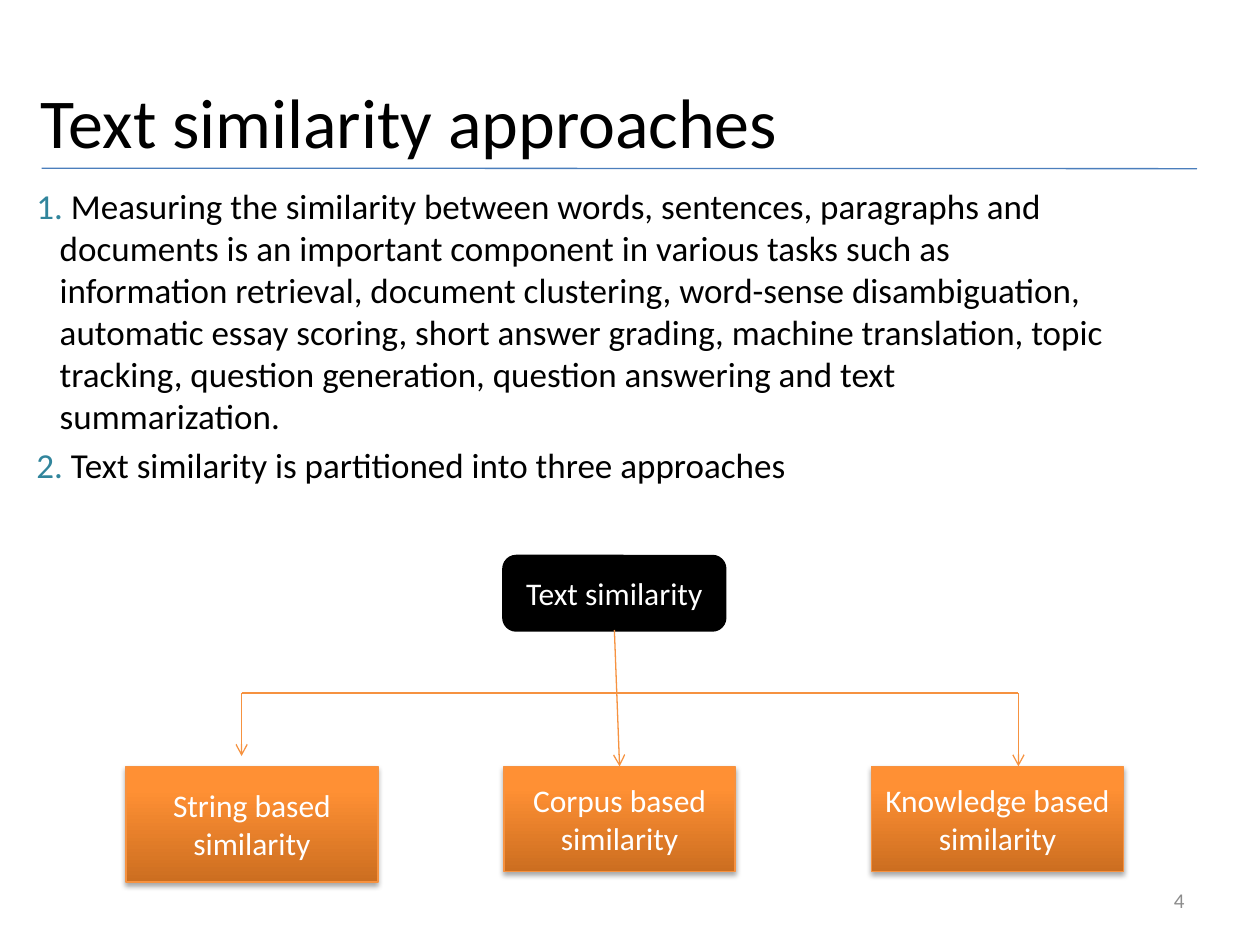
from dataclasses import dataclass

from pptx import Presentation
from pptx.dml.color import RGBColor
from pptx.enum.shapes import MSO_CONNECTOR, MSO_SHAPE
from pptx.enum.text import MSO_ANCHOR as Anchor, MSO_AUTO_SIZE as AutoSize, PP_ALIGN as Align
from pptx.oxml import parse_xml
from pptx.oxml.ns import nsdecls, qn
from pptx.oxml.xmlchemy import OxmlElement
from pptx.util import Cm, Pt

FONT = "Calibri"
BLACK, WHITE, GREY = "000000", "FFFFFF", "8C8C8C"
TEAL, BLUE, ORANGE = "31859C", "4B7EBC", "F69240"
GRADIENT = ((0, "CC6E20"), (80, "FF9034"), (100, "FF9136"))


@dataclass
class Box:
    """A rectangle in centimetres, with its text."""
    left: float
    top: float
    width: float
    height: float
    text: str = ""

    def lengths(self):
        return Cm(self.left), Cm(self.top), Cm(self.width), Cm(self.height)


@dataclass
class Line:
    """A straight line in centimetres."""
    x1: float
    y1: float
    x2: float
    y2: float
    color: str = ORANGE
    arrow: bool = True


TITLE = Box(-3.18, 0.84, 22.86, 3.18, "Text similarity approaches")
BODY = Box(0, 3.6, 22.86, 12.57)
NUMBER = Box(18.2, 17.65, 5.93, 1.01, "4")
ROOT = Box(10.16, 11.22, 4.45, 1.48, "Text similarity")
LEAF_TOP, BAR_Y, BAR_LEFT, BAR_RIGHT = 15.45, 13.97, 4.87, 20.53
LEAVES = [
    Box(2.54, LEAF_TOP, 5.08, 2.33, "String based similarity"),
    Box(10.16, LEAF_TOP, 4.66, 2.12, "Corpus based similarity"),
    Box(17.57, LEAF_TOP, 5.08, 2.12, "Knowledge based similarity"),
]
POINTS = [
    "Measuring the similarity between words, sentences, paragraphs and documents is an "
    "important component in various tasks such as information retrieval, document "
    "clustering, word-sense disambiguation, automatic essay scoring, short answer grading, "
    "machine translation, topic tracking, question generation, question answering and "
    "text summarization.",
    "Text similarity is partitioned into three approaches",
]
RULE = Line(0.84, 3.39, 24.13, 3.4, BLUE, arrow=False)
BRANCHES = [
    Line(BAR_LEFT, BAR_Y, BAR_RIGHT, BAR_Y, arrow=False),
    Line(BAR_LEFT, BAR_Y, BAR_LEFT, 15.24),
    Line(BAR_RIGHT, BAR_Y, BAR_RIGHT, LEAF_TOP),
]


def rgb(color: str) -> RGBColor:
    return RGBColor.from_string(color)


def place(sp, box: Box) -> None:
    sp.left, sp.top, sp.width, sp.height = box.lengths()


def add_run(p, text: str, size: float, color: str) -> None:
    r = p.add_run()
    r.text = text
    r.font.name, r.font.size = FONT, Pt(size)
    r.font.color.rgb = rgb(color)


def write(sp, text: str, size: float, color: str, align=Align.CENTER) -> None:
    """Put one vertically centred paragraph in a shape."""
    tf = sp.text_frame
    tf.word_wrap, tf.vertical_anchor = True, Anchor.MIDDLE
    tf.auto_size = AutoSize.NONE
    p = tf.paragraphs[0]
    p.alignment = align
    add_run(p, text, size, color)


def add_box(slide, box: Box, shape_type, color: str, line_width: float):
    sp = slide.shapes.add_shape(shape_type, *box.lengths())
    sp.shadow.inherit = False
    sp.fill.solid()
    sp.fill.fore_color.rgb = rgb(color)
    sp.line.color.rgb = rgb(color)
    sp.line.width = Pt(line_width)
    write(sp, box.text, 18, WHITE)
    return sp


def add_leaf(slide, box: Box):
    """An orange box with a vertical gradient and a soft shadow."""
    sp = add_box(slide, box, MSO_SHAPE.RECTANGLE, ORANGE, 0.75)
    sp_pr = sp._element.spPr
    stops = "".join(f'<a:gs pos="{pos * 1000}"><a:srgbClr val="{color}"/></a:gs>'
                    for pos, color in GRADIENT)
    sp_pr.replace(sp_pr.find(qn("a:solidFill")), parse_xml(
        f'<a:gradFill {nsdecls("a")} rotWithShape="1"><a:gsLst>{stops}</a:gsLst>'
        '<a:lin ang="16200000" scaled="0"/></a:gradFill>'))
    sp_pr.find(qn("a:effectLst")).append(parse_xml(
        f'<a:outerShdw {nsdecls("a")} blurRad="{Pt(3.1)}" dist="{Pt(1.8)}" dir="5400000" '
        'rotWithShape="0"><a:srgbClr val="000000"><a:alpha val="35000"/></a:srgbClr>'
        '</a:outerShdw>'))
    return sp


def add_line(slide, line: Line):
    cx = slide.shapes.add_connector(MSO_CONNECTOR.STRAIGHT, Cm(line.x1), Cm(line.y1),
                                    Cm(line.x2), Cm(line.y2))
    cx.line.color.rgb = rgb(line.color)
    cx.line.width = Pt(0.75)
    if line.arrow:
        tail = OxmlElement("a:tailEnd")
        tail.set("type", "arrow")
        cx.line._get_or_add_ln().append(tail)
    cx._element.spPr.append(OxmlElement("a:effectLst"))
    return cx


def add_points(sp, points: list[str]) -> None:
    """Numbered paragraphs with a hanging indent and coloured numbers."""
    tf = sp.text_frame
    tf.word_wrap, tf.auto_size = True, AutoSize.NONE
    for i, text in enumerate(points, start=1):
        p = tf.paragraphs[0] if i == 1 else tf.add_paragraph()
        p.space_before = Pt(4)
        p_pr = p._p.get_or_add_pPr()
        p_pr.set("marL", str(Cm(0.95)))
        p_pr.set("indent", str(Cm(-0.47)))
        p_pr.append(OxmlElement("a:buNone"))
        add_run(p, f"{i}. ", 20, TEAL)
        add_run(p, text, 20, BLACK)


def main() -> None:
    prs = Presentation()
    prs.slide_width, prs.slide_height = Cm(25.4), Cm(19.05)
    slide = prs.slides.add_slide(prs.slide_layouts[1])

    # Title, numbered list and rule
    title, body = slide.placeholders
    place(title, TITLE)
    write(title, TITLE.text, 40, BLACK)
    place(body, BODY)
    add_points(body, POINTS)
    add_line(slide, RULE)

    # Tree of approaches
    root = add_box(slide, ROOT, MSO_SHAPE.ROUNDED_RECTANGLE, BLACK, 2)
    leaves = [add_leaf(slide, box) for box in LEAVES]
    for branch in BRANCHES:
        add_line(slide, branch)
    trunk = add_line(slide, Line(12.38, 12.7, 12.49, LEAF_TOP))
    trunk.begin_connect(root, 2)
    trunk.end_connect(leaves[1], 0)

    # Slide number
    number = slide.shapes.add_textbox(*NUMBER.lengths())
    write(number, NUMBER.text, 12, GREY, Align.RIGHT)

    prs.save("out.pptx")


if __name__ == "__main__":
    main()
